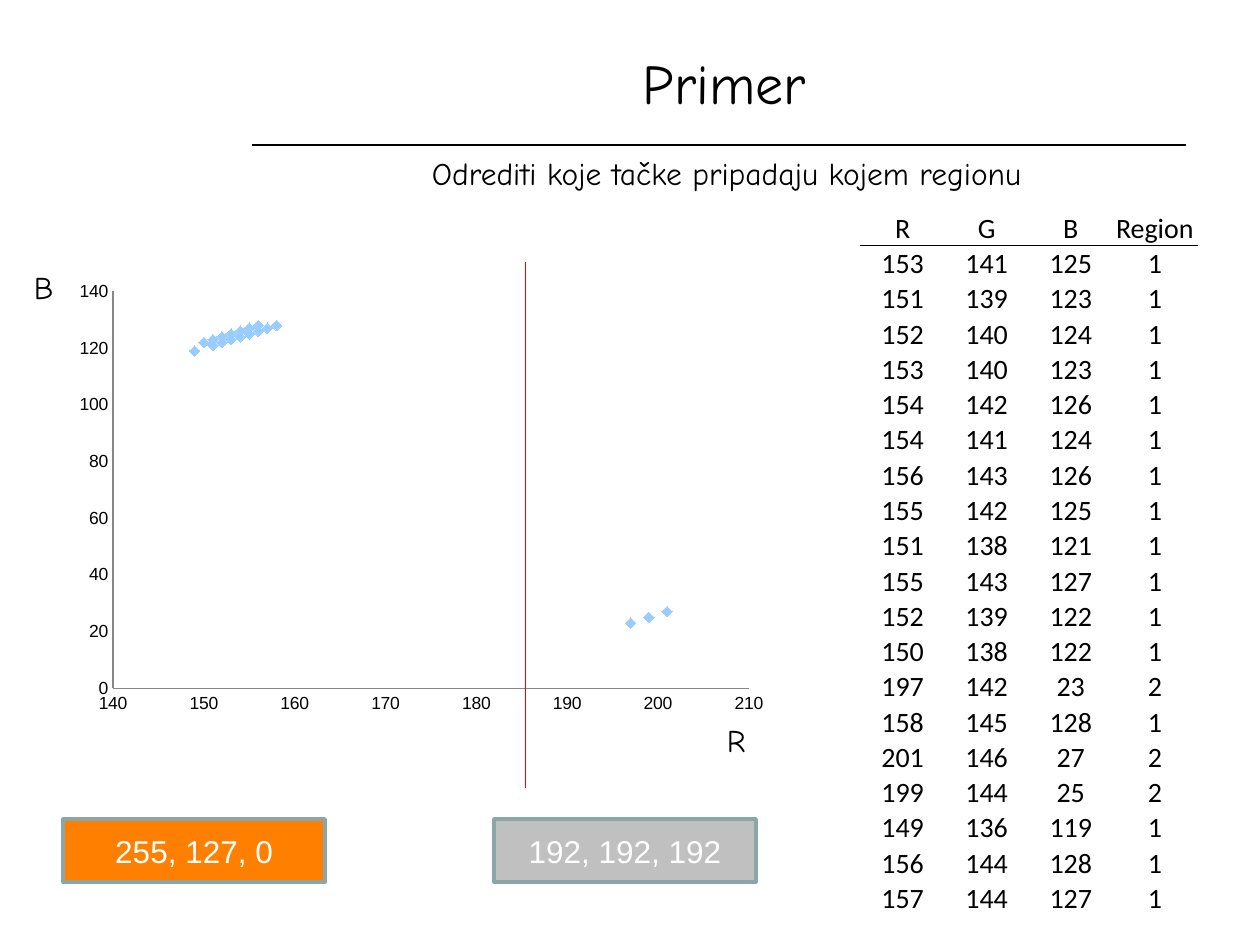
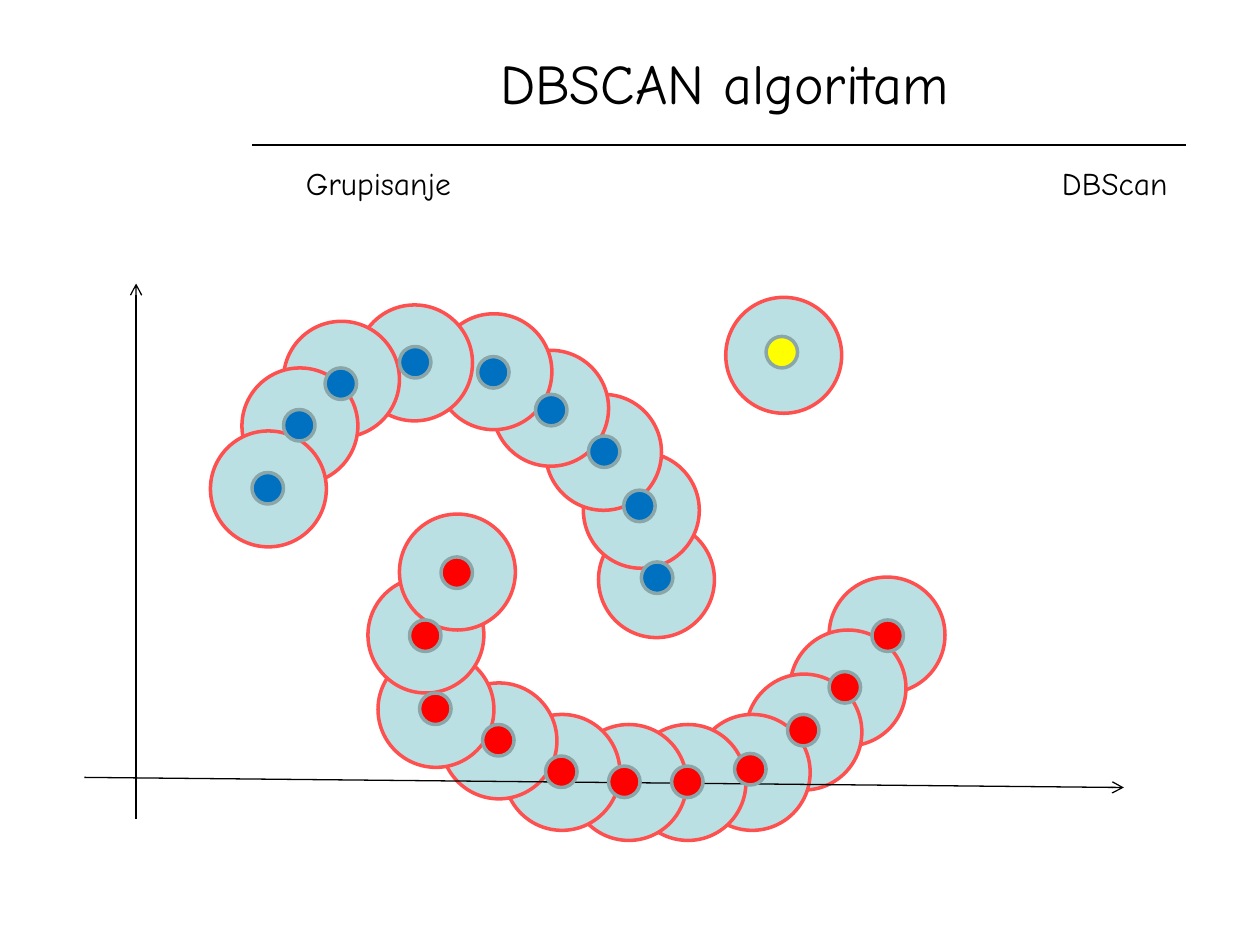
from dataclasses import dataclass

from lxml.etree import SubElement as Sub
from pptx import Presentation
from pptx.chart.data import XyChartData as XyData
from pptx.dml.color import RGBColor as Rgb
from pptx.enum.chart import XL_CHART_TYPE as Chart, XL_MARKER_STYLE as Mark, XL_TICK_MARK as Tick
from pptx.enum.shapes import MSO_CONNECTOR as Link, MSO_SHAPE as Form
from pptx.enum.text import MSO_ANCHOR as Anchor, PP_ALIGN as Align
from pptx.oxml import parse_xml
from pptx.oxml.ns import nsdecls, qn
from pptx.util import Inches, Pt


@dataclass(frozen=True)
class Theme:
    black: str = "000000"
    white: str = "FFFFFF"
    red: str = "FF0000"
    blue: str = "0070C0"
    yellow: str = "FFFF00"
    orange: str = "FF7F00"
    silver: str = "C0C0C0"
    halo: str = "BBE0E3"
    ring: str = "FF5050"
    edge: str = "8AA6A8"
    mark: str = "99CCFF"
    axis: str = "878787"
    hand: str = "Comic Neue"
    sans: str = "Arial"
    grid: str = "Calibri"
    title: int = 32
    body: int = 18
    cell: int = 16
    tick: int = 10
    thin: float = 0.75
    thick: float = 2


T = Theme()

HEAD = ("R", "G", "B", "Region")
POINTS = (
    (153, 141, 125, 1), (151, 139, 123, 1), (152, 140, 124, 1), (153, 140, 123, 1),
    (154, 142, 126, 1), (154, 141, 124, 1), (156, 143, 126, 1), (155, 142, 125, 1),
    (151, 138, 121, 1), (155, 143, 127, 1), (152, 139, 122, 1), (150, 138, 122, 1),
    (197, 142, 23, 2), (158, 145, 128, 1), (201, 146, 27, 2), (199, 144, 25, 2),
    (149, 136, 119, 1), (156, 144, 128, 1), (157, 144, 127, 1),
)
HALOS = (
    (4.75, 4.14), (4.63, 3.59), (4.33, 3.13), (3.91, 2.78), (3.46, 2.49), (5.76, 2.36),
    (6.58, 4.58), (6.27, 5), (5.92, 5.35), (5.51, 5.67), (5, 5.75), (4.53, 5.75),
    (4, 5.67), (3.5, 5.42), (3, 5.17), (2.92, 4.58), (3.17, 4.08),
    (2.83, 2.42), (2.25, 2.55), (1.92, 2.92), (1.67, 3.42),
)
GROUPS = {
    T.blue: ((2, 3.75), (2.25, 3.25), (2.58, 2.92), (3.17, 2.75), (3.79, 2.83),
             (4.25, 3.13), (4.67, 3.46), (4.95, 3.89), (5.09, 4.46)),
    T.red: ((3.5, 4.42), (3.25, 4.92), (3.33, 5.5), (3.83, 5.75), (4.33, 6), (4.83, 6.08),
            (5.33, 6.08), (5.83, 5.98), (6.25, 5.67), (6.58, 5.33), (6.92, 4.92)),
    T.yellow: ((6.08, 2.67),),
}


def box(*at):
    return [Inches(n) for n in at]


def set_font(font, face, size, tint=T.black):
    font.name = face
    font.size = Pt(size)
    font.color.rgb = Rgb.from_string(tint)


def add_text(slide, text, at, size=T.body, align=Align.LEFT, anchor=Anchor.TOP, wrap=True):
    frame = slide.shapes.add_textbox(*box(*at)).text_frame
    frame.word_wrap = wrap
    frame.vertical_anchor = anchor
    para = frame.paragraphs[0]
    para.text = text
    para.alignment = align
    set_font(para.font, T.hand, size)


def add_line(slide, start, end, tint=T.black, arrow=False):
    line = slide.shapes.add_connector(Link.STRAIGHT, *box(*start, *end))
    line.line.color.rgb = Rgb.from_string(tint)
    line.line.width = Pt(T.thin)
    props = line._element.spPr
    if arrow:
        Sub(props.find(qn("a:ln")), qn("a:tailEnd"), type="arrow")
    Sub(props, qn("a:effectLst"))


def add_form(slide, kind, at, fill, edge):
    form = slide.shapes.add_shape(kind, *box(*at))
    form.shadow.inherit = False
    form.fill.solid()
    form.fill.fore_color.rgb = Rgb.from_string(fill)
    form.line.color.rgb = Rgb.from_string(edge)
    form.line.width = Pt(T.thick)
    return form


def add_disc(slide, spot, size, fill, edge):
    add_form(slide, Form.OVAL, (*spot, size, size), fill, edge)


def add_swatch(slide, text, left, fill):
    form = add_form(slide, Form.RECTANGLE, (left, 6.5, 2.08, 0.5), fill, T.edge)
    form.text_frame.vertical_anchor = Anchor.MIDDLE
    para = form.text_frame.paragraphs[0]
    para.text = text
    para.alignment = Align.CENTER
    set_font(para.font, T.sans, T.body, T.white)


def rule_cell(cell, side):
    rule = parse_xml(
        f'<a:{side} {nsdecls("a")} w="{Pt(0.5)}"><a:solidFill>'
        f'<a:srgbClr val="{T.black}"/></a:solidFill></a:{side}>')
    cell._tc.get_or_add_tcPr().insert(0, rule)


def add_grid(slide, rows):
    count = len(rows)
    table = slide.shapes.add_table(count, len(HEAD), *box(6.83, 1.67, 2.67, 0.28 * count)).table
    table.first_row = table.horz_banding = False
    for i, row in enumerate(rows):
        table.rows[i].height = Inches(0.28)
        for j, value in enumerate(row):
            cell = table.cell(i, j)
            cell.fill.background()
            cell.margin_left = cell.margin_right = cell.margin_top = Inches(0.01)
            cell.margin_bottom = 0
            cell.vertical_anchor = Anchor.BOTTOM
            para = cell.text_frame.paragraphs[0]
            para.text = str(value)
            para.alignment = Align.CENTER
            set_font(para.font, T.grid, T.cell)
            if i < 2:
                rule_cell(cell, ("lnB", "lnT")[i])


def set_axis(axis, low, high, step):
    axis.minimum_scale, axis.maximum_scale, axis.major_unit = low, high, step
    axis.has_major_gridlines = False
    axis.major_tick_mark = axis.minor_tick_mark = Tick.NONE
    axis.format.line.color.rgb = Rgb.from_string(T.axis)
    set_font(axis.tick_labels.font, T.sans, T.tick)


def place_plot(chart, **frame):
    area = chart._chartSpace.chart.plotArea
    old = area.find(qn("c:layout"))
    if old is not None:
        area.remove(old)
    layout = parse_xml(f'<c:layout {nsdecls("c")}><c:manualLayout/></c:layout>')
    modes = {"layoutTarget": "inner", "xMode": "edge", "yMode": "edge"}
    for key, value in (modes | frame).items():
        Sub(layout[0], qn(f"c:{key}"), val=str(value))
    area.insert(0, layout)


def add_plot(slide):
    data = XyData()
    series = data.add_series("Series 1")
    for red, _, blue, _ in POINTS:
        series.add_data_point(red, blue)
    chart = slide.shapes.add_chart(Chart.XY_SCATTER, *box(0.5, 2.17, 5.67, 3.58), data).chart
    chart.has_title = chart.has_legend = False
    set_font(chart.font, T.sans, T.tick)
    set_axis(chart.category_axis, 140, 210, 10)
    set_axis(chart.value_axis, 0, 140, 20)
    place_plot(chart, x=0.07, y=0.04, w=0.89, h=0.88)
    plot = chart.plots[0]
    plot.vary_by_categories = False
    dots = plot.series[0]
    dots.smooth = False
    dots.format.line.fill.background()
    dots.marker.style = Mark.DIAMOND
    dots.marker.size = 6
    dots.marker.format.fill.solid()
    dots.marker.format.fill.fore_color.rgb = Rgb.from_string(T.mark)
    dots.marker.format.line.fill.background()


def add_slide(deck, title):
    slide = deck.slides.add_slide(deck.slide_layouts[6])
    add_line(slide, (2, 1.15), (9.41, 1.15))
    add_text(slide, title, (2, 0.28, 7.5, 0.75), T.title, Align.CENTER, Anchor.MIDDLE)
    return slide


def build_sample(deck):
    slide = add_slide(deck, "Primer")
    add_grid(slide, (HEAD, *POINTS))
    add_swatch(slide, "255, 127, 0", 0.5, T.orange)
    add_swatch(slide, "192, 192, 192", 3.92, T.silver)
    add_text(slide, "Odrediti koje tačke pripadaju kojem regionu", (3.33, 1.17, 6.25, 0.4))
    add_plot(slide)
    add_text(slide, "R", (5.67, 5.67, 0.5, 0.4))
    add_text(slide, "B", (0.17, 2.08, 0.5, 0.4))
    add_line(slide, (4.17, 2.08), (4.17, 6.25), T.red)


def build_scan(deck):
    slide = add_slide(deck, "DBSCAN algoritam")
    for spot in HALOS:
        add_disc(slide, spot, 0.92, T.halo, T.ring)
    add_text(slide, "Grupisanje", (2.33, 1.25, 1.53, 0.4), wrap=False)
    add_text(slide, "DBScan", (8.33, 1.25, 1.11, 0.4), wrap=False)
    add_line(slide, (0.67, 6.17), (8.92, 6.25), arrow=True)
    add_line(slide, (1.08, 6.5), (1.08, 2.25), arrow=True)
    for tint, spots in GROUPS.items():
        for spot in spots:
            add_disc(slide, spot, 0.25, tint, T.edge)


def main():
    deck = Presentation()
    deck.slide_width, deck.slide_height = box(10, 7.5)
    build_sample(deck)
    build_scan(deck)
    deck.save("out.pptx")


if __name__ == "__main__":
    main()
